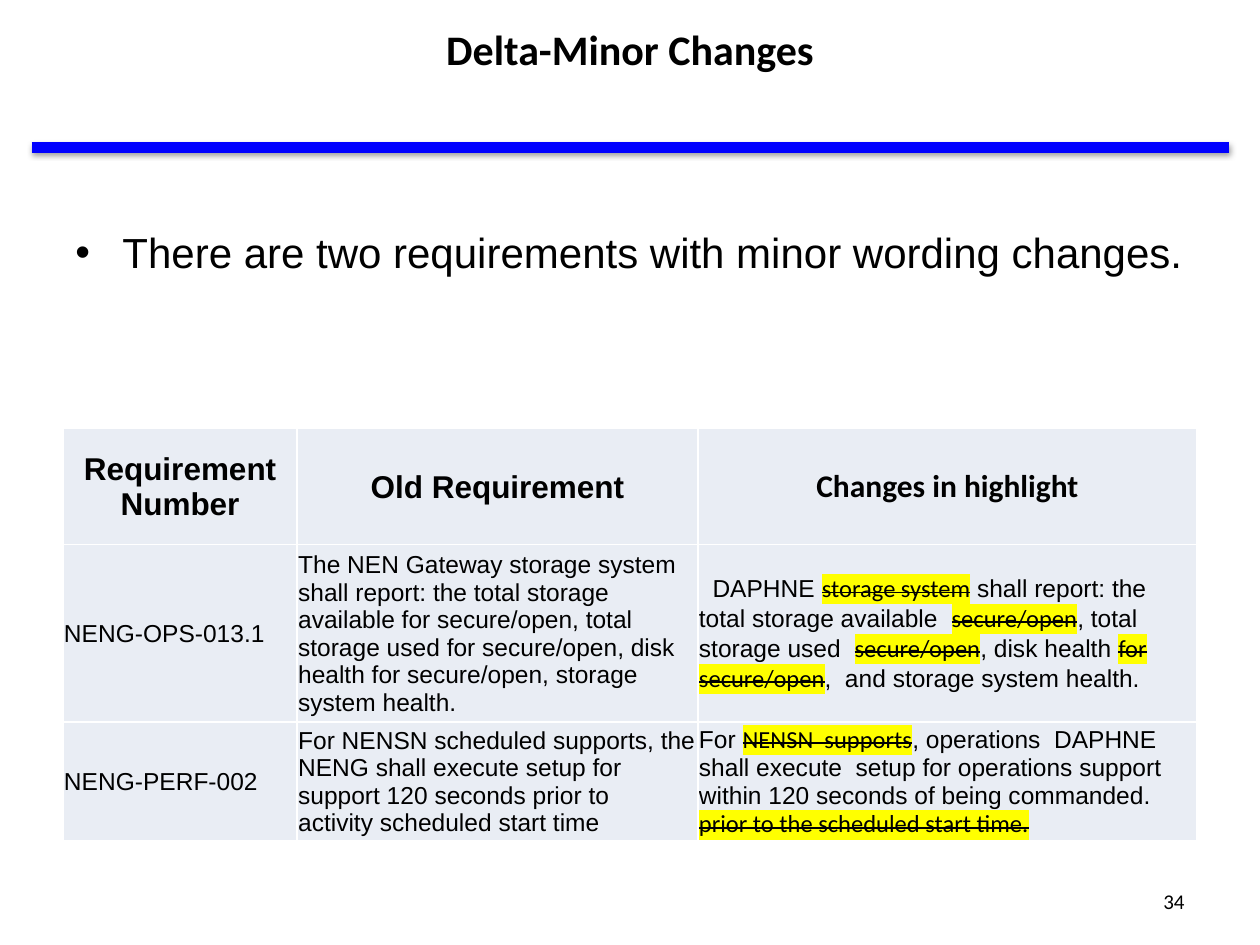
from lxml.etree import SubElement
from pptx import Presentation
from pptx.dml.color import RGBColor
from pptx.enum.shapes import MSO_CONNECTOR
from pptx.enum.text import MSO_ANCHOR, PP_ALIGN
from pptx.oxml import parse_xml
from pptx.oxml.ns import nsdecls, qn
from pptx.util import Cm, Pt

COLORS = {"text": "000000", "rule": "0000FF", "cell": "E9EDF4",
          "border": "FFFFFF", "highlight": "FFFF00"}


def format_run(run, size, face, bold=False):
    run.font.size = Pt(size)
    run.font.bold = bold
    run.font.color.rgb = RGBColor.from_string(COLORS["text"])
    run.font.name = face


def add_border(cell):
    for position, side in enumerate(("lnL", "lnR", "lnT", "lnB")):
        cell._tc.get_or_add_tcPr().insert(position, parse_xml(
            f'<a:{side} {nsdecls("a")} w="12700"><a:solidFill>'
            f'<a:srgbClr val="{COLORS["border"]}"/></a:solidFill></a:{side}>'))


prs = Presentation()
prs.slide_width, prs.slide_height = Cm(25.4), Cm(19.05)
slide = prs.slides.add_slide(prs.slide_layouts[5])

# Title
title = slide.shapes.title
title.left, title.top, title.width, title.height = Cm(5.18), Cm(0.23), Cm(15.04), Cm(1.5)
title.text_frame.text = "Delta-Minor Changes"
title.text_frame.vertical_anchor = MSO_ANCHOR.MIDDLE
title.text_frame.paragraphs[0].alignment = PP_ALIGN.CENTER
format_run(title.text_frame.paragraphs[0].runs[0], 24, "Calibri", True)

# Rule under the title, with a soft shadow
rule = slide.shapes.add_connector(MSO_CONNECTOR.STRAIGHT, Cm(0.64), Cm(2.97), Cm(24.77), Cm(2.97))
rule.line.color.rgb = RGBColor.from_string(COLORS["rule"])
rule.line.width = Pt(6)
rule._element.spPr.append(parse_xml(
    f'<a:effectLst {nsdecls("a")}><a:outerShdw blurRad="39400" dist="20300" dir="5400000" '
    f'rotWithShape="0"><a:srgbClr val="{COLORS["text"]}"><a:alpha val="38000"/></a:srgbClr>'
    '</a:outerShdw></a:effectLst>'))

# Bulleted statement
statement = slide.shapes.add_textbox(Cm(1.27), Cm(4.45), Cm(22.86), Cm(12.57)).text_frame
statement.word_wrap = True
statement.text = "There are two requirements with minor wording changes."
bullet_props = statement.paragraphs[0]._p.get_or_add_pPr()
bullet_props.set("marL", str(Cm(0.95)))
bullet_props.set("indent", str(-Cm(0.95)))
SubElement(bullet_props, qn("a:buFont")).set("typeface", "Arial")
SubElement(bullet_props, qn("a:buChar")).set("char", "•")
format_run(statement.paragraphs[0].runs[0], 24, "Arial")

# Requirements table: text between bars is struck out and highlighted
requirements = [
    ["Requirement Number", "Old Requirement", "Changes in highlight"],
    ["NENG-OPS-013.1",
     "The NEN Gateway storage system shall report: the total storage available for "
     "secure/open, total storage used for secure/open, disk health for secure/open, "
     "storage system health.",
     "  DAPHNE |storage system| shall report: the total storage available  |secure/open|, "
     "total storage used  |secure/open|, disk health |for secure/open|,  and storage "
     "system health."],
    ["NENG-PERF-002",
     "For NENSN scheduled supports, the NENG shall execute setup for support 120 seconds "
     "prior to  activity scheduled start time",
     "For |NENSN  supports|, operations  DAPHNE shall execute  setup for operations support "
     "within 120 seconds of being commanded. |prior to the scheduled start time."],
]
column_widths = [4.72, 8.08, 10.06]
row_heights = [2.34, 3.35, 2.33]
table = slide.shapes.add_table(3, 3, Cm(1.27), Cm(8.64), Cm(sum(column_widths)),
                               Cm(sum(row_heights))).table
table.first_row = table.horz_banding = False
for column, width in zip(table.columns, column_widths):
    column.width = Cm(width)
for row, height in zip(table.rows, row_heights):
    row.height = Cm(height)

for r, texts in enumerate(requirements):
    is_header = r == 0
    for c, text in enumerate(texts):
        cell = table.cell(r, c)
        cell.fill.solid()
        cell.fill.fore_color.rgb = RGBColor.from_string(COLORS["cell"])
        add_border(cell)
        cell.vertical_anchor = MSO_ANCHOR.MIDDLE
        cell.margin_left = cell.margin_right = cell.margin_top = Cm(0.02)
        cell.margin_bottom = 0
        paragraph = cell.text_frame.paragraphs[0]
        paragraph.alignment = PP_ALIGN.CENTER if is_header else PP_ALIGN.LEFT
        for part, wording in enumerate(text.split("|")):
            is_struck = part % 2 == 1
            run = paragraph.add_run()
            run.text = wording
            face = "Calibri" if is_struck or (is_header and c == 2) else "Arial"
            format_run(run, 18 if is_header else 14, face, is_header)
            if is_struck:
                run_props = run._r.get_or_add_rPr()
                run_props.set("strike", "sngStrike")
                run_props.find(qn("a:latin")).addprevious(parse_xml(
                    f'<a:highlight {nsdecls("a")}><a:srgbClr val="{COLORS["highlight"]}"/>'
                    '</a:highlight>'))

# Page number
page_number = slide.shapes.add_textbox(Cm(18.21), Cm(17.65), Cm(5.92), Cm(1.02)).text_frame
page_number.word_wrap = True
page_number.text = "34"
page_number.vertical_anchor = MSO_ANCHOR.MIDDLE
page_number.paragraphs[0].alignment = PP_ALIGN.RIGHT
format_run(page_number.paragraphs[0].runs[0], 12, "Calibri")

prs.save("out.pptx")
